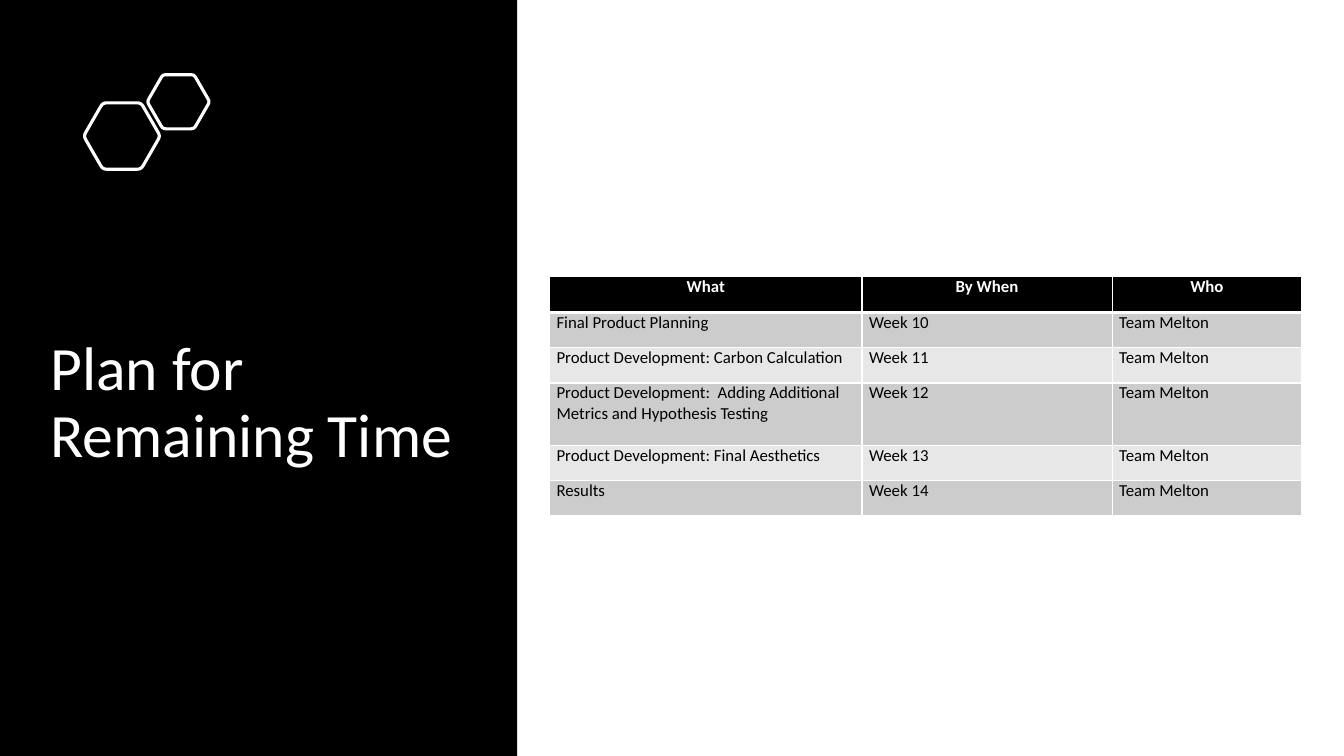
from math import cos, pi, sin

from lxml.etree import SubElement
from pptx import Presentation
from pptx.dml.color import RGBColor
from pptx.enum.shapes import MSO_SHAPE
from pptx.enum.text import MSO_ANCHOR, MSO_AUTO_SIZE, PP_ALIGN
from pptx.oxml.ns import qn
from pptx.util import Inches, Pt

BLACK, WHITE, DARK_BAND, LIGHT_BAND = "000000", "FFFFFF", "CCCCCC", "E7E7E7"


def color(hex_value):
    return RGBColor.from_string(hex_value)


class PlanSlide:
    font = "Calibri"
    outline = 2.25
    corner = 0.1

    def __init__(self, slide):
        self.slide = slide

    def style(self, paragraph, size, ink, bold=False, align=PP_ALIGN.LEFT):
        paragraph.alignment = align
        for run in paragraph.runs:
            run.font.name = self.font
            run.font.size = Pt(size)
            run.font.bold = bold
            run.font.color.rgb = color(ink)

    def panel(self, left, top, width, height, fill):
        panel = self.slide.shapes.add_shape(
            MSO_SHAPE.RECTANGLE, Inches(left), Inches(top), Inches(width), Inches(height))
        panel.shadow.inherit = False
        panel.fill.solid()
        panel.fill.fore_color.rgb = color(fill)
        panel.line.fill.background()

    def hexagon(self, center_x, center_y, radius, ink):
        corners = [(center_x + radius * cos(i * pi / 3), center_y + radius * sin(i * pi / 3))
                   for i in range(6)]
        outline = []
        for i, vertex in enumerate(corners):
            before, after = corners[i - 1], corners[(i + 1) % 6]
            for t in (0, 0.25, 0.5, 0.75, 1):
                toward_before = self.corner * (1 - t) ** 2
                toward_after = self.corner * t ** 2
                outline.append(tuple(
                    Inches(v + toward_before * (b - v) + toward_after * (a - v))
                    for v, b, a in zip(vertex, before, after)))
        builder = self.slide.shapes.build_freeform(*outline[0])
        builder.add_line_segments(outline[1:], close=True)
        hexagon = builder.convert_to_shape()
        hexagon.shadow.inherit = False
        hexagon.fill.background()
        hexagon.line.color.rgb = color(ink)
        hexagon.line.width = Pt(self.outline)

    def title(self, text, left, top, width, height, size, ink):
        title = self.slide.shapes.title
        self.slide.shapes._spTree.append(title._element)
        title.left, title.top = Inches(left), Inches(top)
        title.width, title.height = Inches(width), Inches(height)
        frame = title.text_frame
        frame.text = text
        frame.word_wrap = True
        frame.auto_size = MSO_AUTO_SIZE.NONE
        frame.vertical_anchor = MSO_ANCHOR.MIDDLE
        frame.paragraphs[0].line_spacing = 0.9
        self.style(frame.paragraphs[0], size, ink)

    def border(self, cell, side, ink, width):
        properties = cell._tc.get_or_add_tcPr()
        edge = SubElement(properties, qn(f"a:ln{side}"), w=str(Pt(width)))
        fill = SubElement(edge, qn("a:solidFill"))
        SubElement(fill, qn("a:srgbClr"), val=ink)

    def table(self, rows, left, top, widths, heights, size):
        table = self.slide.shapes.add_table(
            len(rows), len(widths), Inches(left), Inches(top),
            Inches(sum(widths)), Inches(sum(heights))).table
        for column, width in zip(table.columns, widths):
            column.width = Inches(width)
        for r, (row, height) in enumerate(zip(rows, heights)):
            table.rows[r].height = Inches(height)
            header = r == 0
            band = BLACK if header else DARK_BAND if r % 2 else LIGHT_BAND
            for c, text in enumerate(row):
                cell = table.cell(r, c)
                cell.text = text
                cell.margin_left = cell.margin_right = Inches(0.07)
                cell.margin_top = cell.margin_bottom = 0
                for side in "LRTB":
                    thick = (r, side) in ((0, "B"), (1, "T"))
                    self.border(cell, side, WHITE, 3 if thick else 1)
                cell.fill.solid()
                cell.fill.fore_color.rgb = color(band)
                self.style(cell.text_frame.paragraphs[0], size,
                           WHITE if header else BLACK, header,
                           PP_ALIGN.CENTER if header else PP_ALIGN.LEFT)


presentation = Presentation()
presentation.slide_width, presentation.slide_height = Inches(13.33), Inches(7.5)
plan = PlanSlide(presentation.slides.add_slide(presentation.slide_layouts[5]))

plan.panel(0, 0, 5.13, 7.5, BLACK)
plan.hexagon(1.21, 1.35, 0.38, WHITE)
plan.hexagon(1.77, 1.01, 0.31, WHITE)
plan.title("Plan for Remaining Time", 0.4, 1.67, 4.33, 4.68, 44, WHITE)

tasks = [
    "Final Product Planning",
    "Product Development: Carbon Calculation",
    "Product Development:\u00a0 Adding Additional Metrics and Hypothesis Testing",
    "Product Development: Final Aesthetics",
    "Results",
]
schedule = [("What", "By When", "Who")]
schedule += [(task, f"Week {week}", "Team Melton") for week, task in enumerate(tasks, 10)]
row_heights = [0.36, 0.35, 0.35, 0.62, 0.35, 0.35]
plan.table(schedule, 5.45, 2.74, [3.1, 2.48, 1.88], row_heights, 12)

presentation.save("out.pptx")
